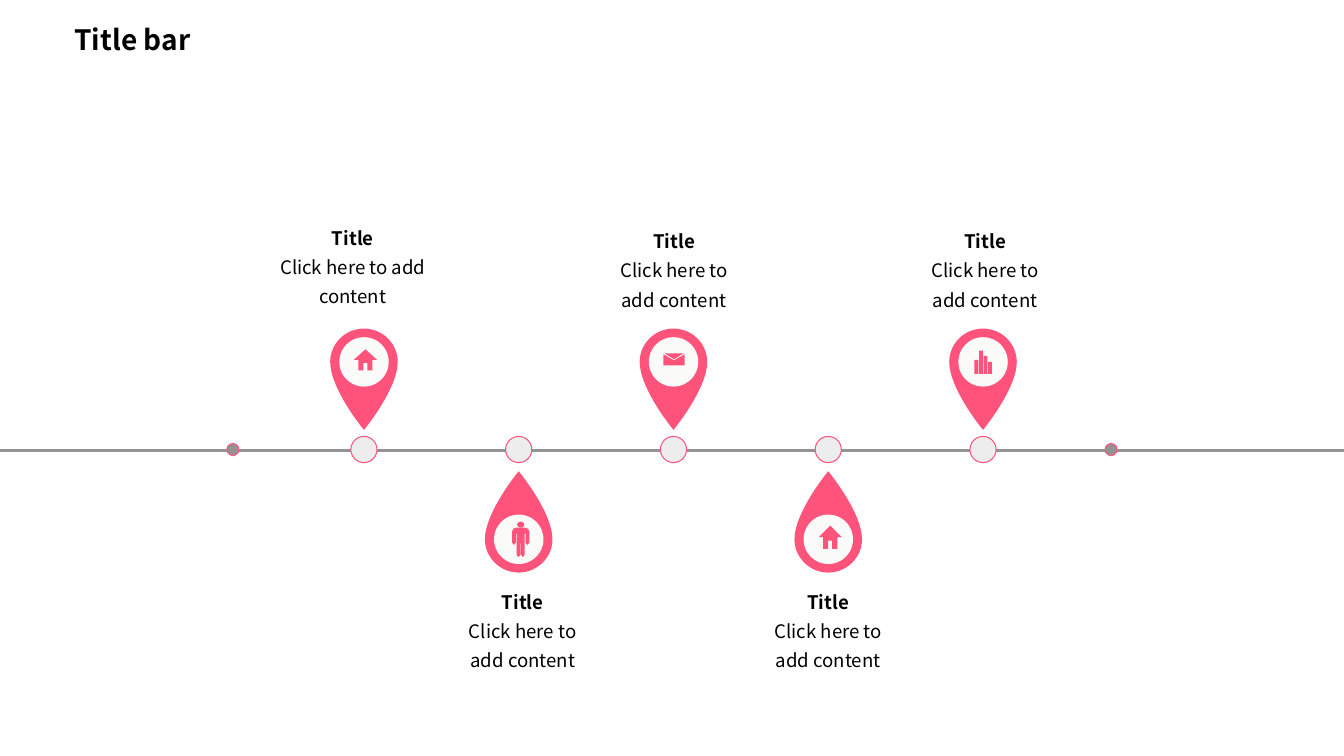
from lxml.etree import SubElement
from pptx import Presentation
from pptx.dml.color import RGBColor
from pptx.enum.shapes import MSO_CONNECTOR, MSO_SHAPE
from pptx.enum.text import MSO_AUTO_SIZE, PP_ALIGN
from pptx.oxml.ns import qn
from pptx.util import Inches, Pt

PINK = RGBColor(0xFF, 0x53, 0x7C)
GREY = RGBColor(0x93, 0x93, 0x93)
LIGHT_GREY = RGBColor(0xED, 0xED, 0xED)
OFF_WHITE = RGBColor(0xFA, 0xFA, 0xF8)
BLACK = RGBColor(0, 0, 0)

# The slide is a grid of 133.3 columns by 75 rows
COLUMNS, ROWS = 133.3, 75
CELL = Inches(0.1)

# Timeline geometry, in grid cells
LINE_ROW = 44.7
NODE_ROW = 44.6
FIRST_STATION, STATION_STEP = 36.1, 15.35
HEAD_DISTANCE = 8.8

# Right half of a pin: distance from the centre line, distance from the timeline
PIN_CURVES = [
    [(0, 2.05), (0, 2.05), (3.35, 6.1), (3.35, 8.8)],
    [(3.35, 8.8), (3.35, 10.6), (1.85, 12.1), (0, 12.1)],
]
# Right halves of the symmetric icons, around the icon's centre
HOUSE = [(0, -1.15), (1.15, 0), (0.7, 0), (0.7, 1.15), (0.2, 1.15), (0.2, 0.35)]
FLAP = [(0, -0.25), (0.95, -0.85)]
ENVELOPE = [(0, -0.15), (1.05, -0.75), (1.05, 0.35)]
BODY = [(0.45, -1.15), (0.75, -1.03), (0.85, -0.75), (0.85, 0.35), (0.67, 0.55),
        (0.48, 0.35), (0.48, -0.55), (0.4, -0.55), (0.4, 1.55), (0.22, 1.75),
        (0.03, 1.55), (0.03, 0.4)]
BAR_HEIGHTS = [1.4, 2.3, 1.8, 1.2]


def cells(count):
    return round(count * CELL)


def mirrored(half):
    return half + [(-x, y) for x, y in reversed(half)]


def bezier(start, first, second, end, steps=16):
    """Points along a cubic curve."""
    for step in range(steps + 1):
        t = step / steps
        weights = ((1 - t) ** 3, 3 * t * (1 - t) ** 2, 3 * t * t * (1 - t), t ** 3)
        controls = (start, first, second, end)
        yield tuple(sum(w * point[axis] for w, point in zip(weights, controls))
                    for axis in (0, 1))


class TimelineSlide:
    font_format = {"name": "Noto Sans CJK SC"}

    def __init__(self, presentation):
        self.slide = presentation.slides.add_slide(presentation.slide_layouts[6])
        self.shapes = self.slide.shapes

    def paint(self, shape, fill, line=None, weight=0):
        shape.shadow.inherit = False
        shape.fill.solid()
        shape.fill.fore_color.rgb = fill
        if line is None:
            shape.line.fill.background()
        else:
            shape.line.color.rgb = line
            shape.line.width = Pt(weight)

    def rule(self, row, color):
        connector = self.shapes.add_connector(
            MSO_CONNECTOR.STRAIGHT, 0, cells(row), cells(COLUMNS), cells(row))
        connector.line.color.rgb = color
        connector.line.width = Pt(0)
        SubElement(connector.element.spPr, qn("a:effectLst"))

    def ellipse(self, x, y, width, height, fill, **outline):
        shape = self.shapes.add_shape(
            MSO_SHAPE.OVAL, cells(x - width / 2), cells(y - height / 2),
            cells(width), cells(height))
        self.paint(shape, fill, **outline)

    def bar(self, left, bottom, width, height, fill):
        shape = self.shapes.add_shape(
            MSO_SHAPE.RECTANGLE, cells(left), cells(bottom - height),
            cells(width), cells(height))
        self.paint(shape, fill)

    def outline(self, x, y, half, fill, y_scale=1):
        points = [(cells(x + dx), cells(y + dy * y_scale)) for dx, dy in mirrored(half)]
        builder = self.shapes.build_freeform(*points[0])
        builder.add_line_segments(points[1:], close=True)
        self.paint(builder.convert_to_shape(), fill)

    def text(self, left, top, width, height, lines, **paragraph_format):
        box = self.shapes.add_textbox(*map(cells, (left, top, width, height)))
        frame = box.text_frame
        frame.word_wrap = True
        frame.auto_size = MSO_AUTO_SIZE.SHAPE_TO_FIT_TEXT
        for index, (content, size, bold) in enumerate(lines):
            paragraph = frame.paragraphs[0] if index == 0 else frame.add_paragraph()
            for name, value in paragraph_format.items():
                setattr(paragraph, name, value)
            run = paragraph.add_run()
            run.text = content
            font_format = {**self.font_format, "size": Pt(size), "bold": bold}
            for name, value in font_format.items():
                setattr(run.font, name, value)
            run.font.color.rgb = BLACK

    # Icons, placed around the centre of a pin's head
    def low_house(self, x, y):
        self.outline(x + 0.15, y - 0.2, HOUSE, PINK, y_scale=0.91)

    def tall_house(self, x, y):
        self.outline(x + 0.2, y - 0.2, HOUSE, PINK)

    def person(self, x, y):
        self.outline(x + 0.2, y, BODY, PINK)
        self.ellipse(x + 0.2, y - 1.45, 0.7, 0.6, PINK)

    def envelope(self, x, y):
        for half in (FLAP, ENVELOPE):
            self.outline(x + 0.05, y, half, PINK)

    def chart_icon(self, x, y):
        for index, height in enumerate(BAR_HEIGHTS):
            self.bar(x - 0.85 + 0.45 * index, y + 1.2, 0.38, height, PINK)

    def station(self, x, direction, icon):
        self.ellipse(x, NODE_ROW, 2.6, 2.6, LIGHT_GREY, line=PINK)
        pin = [point for curve in PIN_CURVES for point in bezier(*curve)]
        self.outline(x, LINE_ROW, pin, PINK, y_scale=direction)
        head_row = LINE_ROW + direction * HEAD_DISTANCE
        self.ellipse(x, head_row, 4.9, 4.9, OFF_WHITE)
        icon(x, head_row)


def main():
    presentation = Presentation()
    presentation.slide_width = cells(COLUMNS)
    presentation.slide_height = cells(ROWS)
    timeline = TimelineSlide(presentation)

    # Heading
    timeline.text(6.4, 1.7, 19.1, 4.4, [("Title bar", 20, True)])

    # Timeline with its end dots
    timeline.rule(LINE_ROW, GREY)
    for x in (23.1, 110.2):
        timeline.ellipse(x, NODE_ROW, 1.2, 1.2, GREY, line=PINK, weight=0.75)

    # Stations: icon, then left, top and width of the caption
    stations = [
        (timeline.low_house, 26.5, 21.4, 17),
        (timeline.person, 45.1, 57.5, 13.5),
        (timeline.envelope, 60.1, 21.7, 13.5),
        (timeline.tall_house, 75.4, 57.5, 13.5),
        (timeline.chart_icon, 90, 21.7, 15.4),
    ]
    caption = [("Title", 13.3, True), ("Click here to add content", 13.3, False)]
    for index, (icon, left, top, width) in enumerate(stations):
        direction = 1 if index % 2 else -1
        timeline.station(FIRST_STATION + index * STATION_STEP, direction, icon)
        timeline.text(left, top, width, 6.8, caption,
                      alignment=PP_ALIGN.CENTER, line_spacing=1.3)

    presentation.save("out.pptx")


if __name__ == "__main__":
    main()
